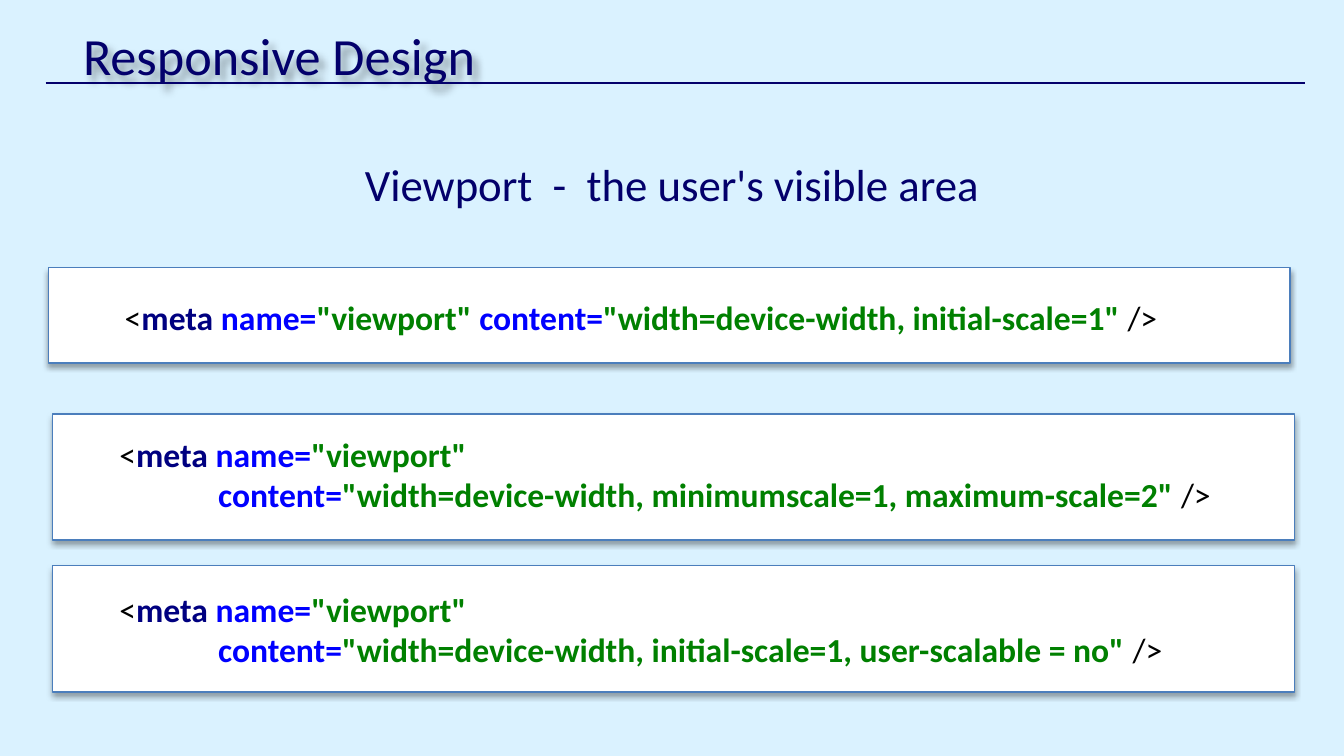
from lxml.etree import SubElement
from pptx import Presentation
from pptx.dml.color import RGBColor
from pptx.enum.shapes import MSO_CONNECTOR, MSO_SHAPE
from pptx.enum.text import MSO_ANCHOR, PP_ALIGN
from pptx.oxml.ns import qn
from pptx.util import Inches, Pt

BACKGROUND = RGBColor(0xDA, 0xF2, 0xFF)
NAVY = RGBColor(0x03, 0x00, 0x6B)
WHITE = RGBColor(0xFF, 0xFF, 0xFF)
BORDER = RGBColor(0x4B, 0x7E, 0xBC)
BLACK = RGBColor(0x00, 0x00, 0x00)
TAG = RGBColor(0x00, 0x00, 0x80)
ATTRIBUTE = RGBColor(0x00, 0x00, 0xFF)
VALUE = RGBColor(0x00, 0x80, 0x00)
FONT = "Calibri"

# Content: each code line is a list of (text, colour)
TITLE = "Responsive Design"
SUBTITLE = "Viewport  -  the user's visible area"
OPENING = [("<", BLACK), ("meta ", TAG), ("name=", ATTRIBUTE), ('"viewport"', VALUE)]
INDENT = ("             ", VALUE)
CONTENT = ("content=", ATTRIBUTE)

# Each panel: box position, text position, code lines
PANELS = [
    ((0.36, 1.99, 9.24, 0.71), (0.83, 2.16, 8.07, 0.4), [
        OPENING + [(" ", VALUE), CONTENT,
                   ('"width=device-width, initial-scale=1"', VALUE), (" />", BLACK)],
    ]),
    ((0.39, 3.08, 9.24, 0.94), (0.79, 3.18, 8.48, 0.71), [
        OPENING,
        [INDENT, CONTENT,
         ('"width=device-width, minimumscale=1, maximum-scale=2" ', VALUE), ("/>", BLACK)],
    ]),
    ((0.39, 4.21, 9.24, 0.94), (0.79, 4.33, 8.48, 0.71), [
        OPENING,
        [INDENT, CONTENT,
         ('"width=device-width, initial-scale=1, user-scalable = no" ', VALUE), ("/>", BLACK)],
    ]),
]

# Widescreen 16:9 slide
prs = Presentation()
prs.slide_width = Inches(10)
prs.slide_height = prs.slide_width * 9 // 16
slide = prs.slides.add_slide(prs.slide_layouts[6])
slide.background.fill.solid()
slide.background.fill.fore_color.rgb = BACKGROUND


def add_shadow(s, blur, distance, angle, alpha):
    s.shadow.inherit = False
    effects = s.element.spPr.find(qn("a:effectLst"))
    shadow = SubElement(effects, qn("a:outerShdw"), blurRad=str(Pt(blur)),
                        dist=str(Pt(distance)), dir=str(angle * 60000),
                        algn="tl", rotWithShape="0")
    color = SubElement(shadow, qn("a:srgbClr"), val="000000")
    SubElement(color, qn("a:alpha"), val=str(alpha * 1000))


def add_text(position, lines, size, anchor=MSO_ANCHOR.TOP, align=PP_ALIGN.LEFT):
    s = slide.shapes.add_textbox(*map(Inches, position))
    tf = s.text_frame
    tf.word_wrap = True
    tf.vertical_anchor = anchor
    for i, line in enumerate(lines):
        p = tf.paragraphs[0] if i == 0 else tf.add_paragraph()
        p.alignment = align
        for text, color in line:
            r = p.add_run()
            r.text = text
            r.font.name, r.font.size = FONT, Pt(size)
            r.font.color.rgb = color
            r.font.bold = color in (TAG, ATTRIBUTE, VALUE)
    return s


def add_panel(position):
    s = slide.shapes.add_shape(MSO_SHAPE.RECTANGLE, *map(Inches, position))
    s.fill.solid()
    s.fill.fore_color.rgb = WHITE
    s.line.color.rgb = BORDER
    s.line.width = Pt(0.75)
    add_shadow(s, 3.1, 1.8, 90, 35)


# Title with shadow, and the rule below it
title = add_text((0.52, 0.06, 9, 0.7), [[(TITLE, NAVY)]], 28, MSO_ANCHOR.MIDDLE)
add_shadow(title, 4, 4, 45, 40)

rule = slide.shapes.add_connector(MSO_CONNECTOR.STRAIGHT, Inches(0.34), Inches(0.62),
                                  Inches(9.71), Inches(0.62))
rule.line.color.rgb = NAVY
rule.line.width = Pt(1)
SubElement(rule.element.spPr, qn("a:effectLst"))

# Subtitle
add_text((2.57, 1.12, 4.86, 0.5), [[(SUBTITLE, NAVY)]], 24, align=PP_ALIGN.CENTER)

# Code panels
for box, text_box, code in PANELS:
    add_panel(box)
    add_text(text_box, code, 18)

prs.save("out.pptx")
